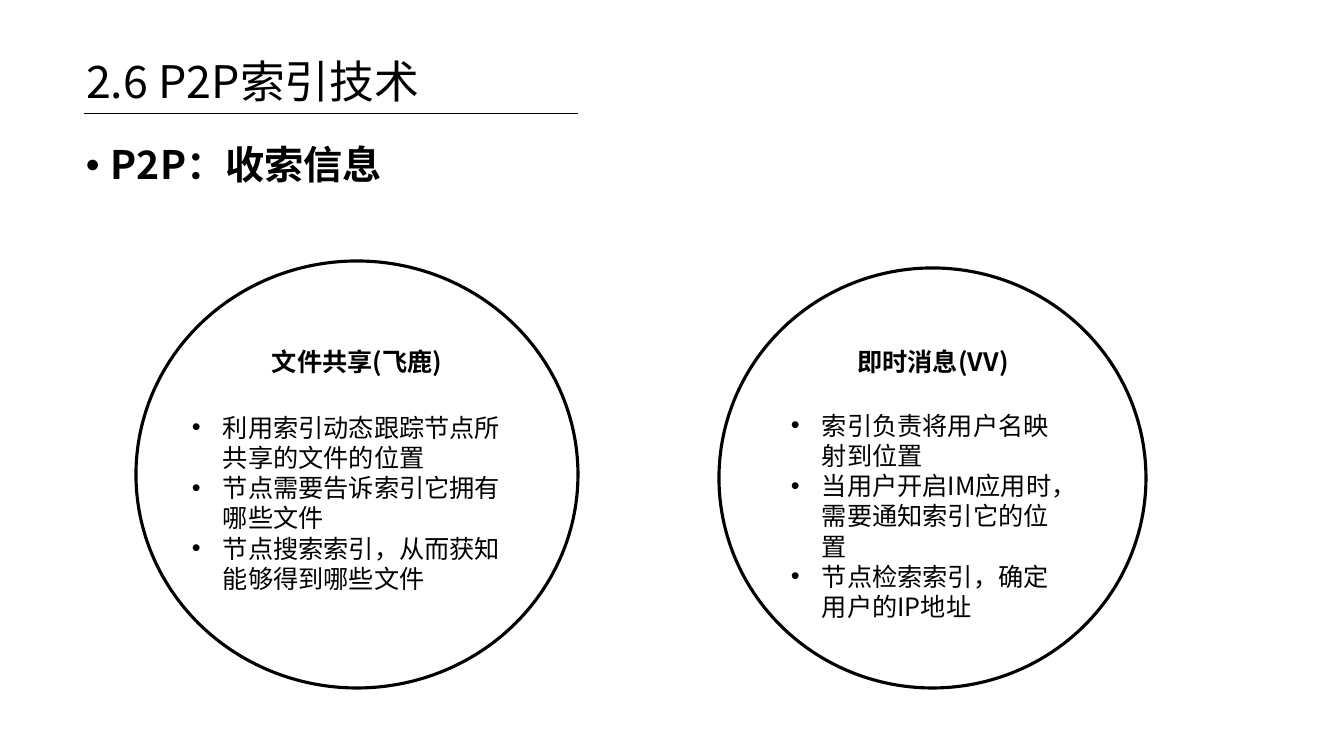
from dataclasses import dataclass

from lxml.etree import SubElement
from pptx import Presentation
from pptx.dml.color import RGBColor
from pptx.enum.shapes import MSO_CONNECTOR, MSO_SHAPE
from pptx.enum.text import MSO_ANCHOR, PP_ALIGN
from pptx.oxml.ns import qn
from pptx.util import Pt

PX = 914400 / 100.8


@dataclass(frozen=True)
class Theme:
    font: str = "Noto Sans CJK SC"
    ink: RGBColor = RGBColor(0, 0, 0)
    title: int = 32
    topic: int = 28
    text: int = 18
    outline: float = 2.25
    rule: float = 0.5


THEME = Theme()


def emu(*lengths):
    return [round(n * PX) for n in lengths]


def write(p, text, size=THEME.text, bold=False, align=PP_ALIGN.LEFT,
          spacing=1.0, bullet_indent=0):
    p.alignment, p.line_spacing, p.space_before = align, spacing, Pt(0)
    r = p.add_run()
    r.text = text
    r.font.size, r.font.bold, r.font.name = Pt(size), bold, THEME.font
    r.font.color.rgb = THEME.ink
    SubElement(r._r.get_or_add_rPr(), qn("a:ea"), typeface=THEME.font)
    if bullet_indent:
        indent, = emu(bullet_indent)
        pPr = p._p.get_or_add_pPr()
        pPr.set("marL", str(indent))
        pPr.set("indent", str(-indent))
        SubElement(pPr, qn("a:buFont"), typeface="Arial")
        SubElement(pPr, qn("a:buChar"), char="•")


def add_text(s, box, lines, **form):
    tf = s.shapes.add_textbox(*emu(*box)).text_frame
    tf.word_wrap = True
    for i, line in enumerate(lines):
        write(tf.add_paragraph() if i else tf.paragraphs[0], line, **form)


def add_heading(s, box, title, topic):
    x, y, w, h = box
    sp = s.shapes.title
    sp.left, sp.top, sp.width, sp.height = emu(*box)
    sp.text_frame.vertical_anchor = MSO_ANCHOR.BOTTOM
    write(sp.text_frame.paragraphs[0], title, size=THEME.title, spacing=0.9)

    line = s.shapes.add_connector(
        MSO_CONNECTOR.STRAIGHT, *emu(x + 8, y + h, x + 502, y + h))
    line.line.color.rgb, line.line.width = THEME.ink, Pt(THEME.rule)
    SubElement(line._element.spPr, qn("a:effectLst"))

    add_text(s, (x, y + h + 28, w, 60), [topic], size=THEME.topic, bold=True,
             spacing=0.9, bullet_indent=25)


def add_circle(s, box, name, name_at, points, points_at):
    """Draw a circle; name_at and points_at are boxes relative to its corner."""
    x, y, w, h = box
    sp = s.shapes.add_shape(MSO_SHAPE.OVAL, *emu(*box))
    sp.shadow.inherit = False
    sp.fill.background()
    sp.line.color.rgb, sp.line.width = THEME.ink, Pt(THEME.outline)

    def inside(part):
        return (x + part[0], y + part[1], *part[2:])

    add_text(s, inside(name_at), [name], bold=True, align=PP_ALIGN.CENTER,
             spacing=1.2)
    add_text(s, inside(points_at), points, bullet_indent=31)


def main():
    prs = Presentation()
    prs.slide_width, prs.slide_height = emu(1344, 756)
    s = prs.slides.add_slide(prs.slide_layouts[5])
    add_heading(s, (76, 0, 1196, 113), "2.6 P2P索引技术", "P2P：收索信息")
    add_circle(s, (136, 261, 442, 427), "文件共享(飞鹿)", (106, 74, 230, 43),
               ["利用索引动态跟踪节点所共享的文件的位置",
                "节点需要告诉索引它拥有哪些文件",
                "节点搜索索引，从而获知能够得到哪些文件"],
               (46, 146, 352, 193))
    add_circle(s, (719, 268, 427, 420), "即时消息(VV)", (99, 67, 230, 43),
               ["索引负责将用户名映射到位置",
                "当用户开启IM应用时，需要通知索引它的位置",
                "节点检索索引，确定用户的IP地址"],
               (62, 137, 302, 224))
    prs.save("out.pptx")


if __name__ == "__main__":
    main()
